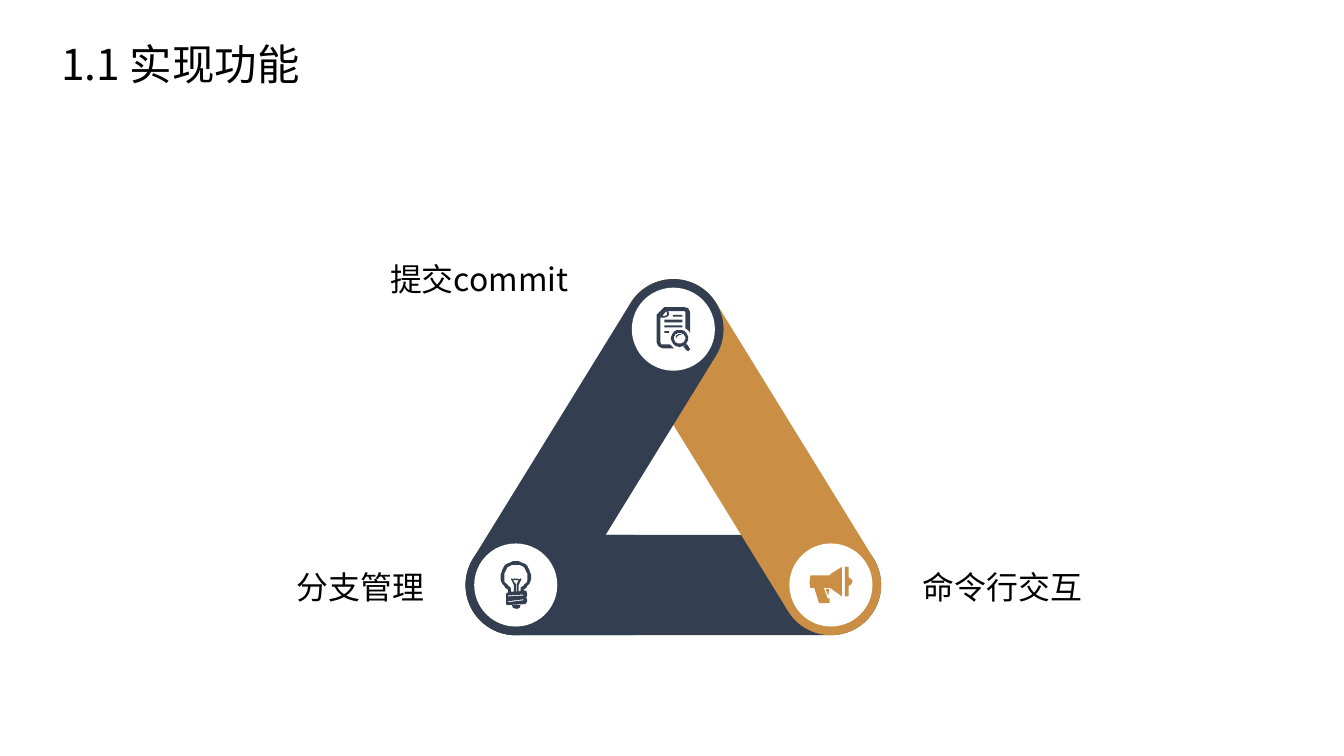
import dataclasses
import math

import pptx
import pptx.dml.color
import pptx.enum.shapes
import pptx.enum.text
import pptx.oxml
import pptx.oxml.ns
import pptx.util

Pt = pptx.util.Pt
SHAPE = pptx.enum.shapes.MSO_SHAPE
ALIGN = pptx.enum.text.PP_ALIGN
ANCHOR = pptx.enum.text.MSO_ANCHOR


@dataclasses.dataclass(frozen=True)
class Theme:
    """Colours, font and type sizes of the slide."""
    navy: str = "333F50"
    gold: str = "CA8F45"
    white: str = "FFFFFF"
    black: str = "000000"
    font: str = "Noto Sans CJK SC"
    title: int = 32
    label: int = 24


THEME = Theme()
ICON_UNIT = 0.72


def arc(cx, cy, radius, start=0, end=360):
    """Return points along a circular arc, with angles in degrees."""
    steps = 32
    angles = [math.radians(start + (end - start) * i / steps) for i in range(steps + 1)]
    return [(cx + radius * math.cos(a), cy + radius * math.sin(a)) for a in angles]


def rect(x1, y1, x2, y2):
    """Return the corners of a rectangle."""
    return [(x1, y1), (x2, y1), (x2, y2), (x1, y2)]


DOCUMENT = (35, 46, [
    [(9, 0), (29, 0), (33, 1), (35, 5), (35, 27), (34, 25), (30, 22), (30, 5),
     (29, 4), (12, 4), (13, 7), (13, 8), (11, 10), (8, 11), (4, 11), (4, 37),
     (5, 39), (14, 39), (18, 43), (6, 43), (2, 41), (0, 37), (0, 8), (8, 0)],
    rect(8, 25, 13, 27), rect(8, 19, 27, 21), rect(8, 13, 27, 16), rect(17, 8, 27, 10),
    [(10, 4), (6, 9), (9, 9), (11, 8), (11, 7)],
    arc(24, 32.5, 9), arc(24, 32.5, 5.7),
    [(20, 33), (22, 30), (27, 28), (23, 28), (20.5, 30)],
    [(28, 41), (31, 45), (33, 46), (35, 43.5), (32, 39), (30.5, 38.7), (29.6, 39.7)],
])
BULB = (32, 50, [
    arc(16, 16, 16, 122, 418) + [
        (25, 31), (27, 31), (28, 35), (27, 38), (28, 41), (27, 44), (26, 45), (7, 46),
        (6, 45), (5.5, 43), (6, 39), (5.5, 37), (6, 34), (7, 33), (8, 33), (8, 30)],
    arc(16, 16, 12.5, 120, 420) + [
        (21, 28), (21, 31), (19, 32), (19, 25), (22, 19), (21, 18), (20, 19), (19, 19),
        (17, 18), (16, 19), (15, 18), (13, 19), (12, 18), (11, 19), (14, 25), (14, 32),
        (11, 32), (11, 29)],
    [(19, 20), (13, 20), (16, 24), (16, 32), (17, 32), (17, 24)],
    [(21, 46), (12, 46), (13, 49), (17, 50), (20, 49)],
    [(24, 40), (8, 42), (8, 43), (24, 41)],
    [(24, 35), (8, 36), (8, 37), (24, 35.5)],
])
MEGAPHONE = (45, 38, [
    [(1, 9), (21, 9), (23, 7), (34, 0), (34, 31), (23, 23), (21, 22), (15, 22),
     (19, 33), (21, 33), (21, 38), (10, 38), (5, 22), (1, 22), (0, 15.5)],
    [(41, 11), (44, 13), (45, 15), (44, 18), (41, 20), (41, 31), (37, 31), (37, 0), (41, 0)],
    [(21, 23), (17, 23), (19, 29), (20, 29), (20, 27)],
])


def paint(sp, color):
    """Give a shape a flat fill without line or shadow."""
    sp.shadow.inherit = False
    sp.fill.solid()
    sp.fill.fore_color.rgb = pptx.dml.color.RGBColor.from_string(color)
    sp.line.fill.background()


def add_text(s, box, text, size, align=ALIGN.LEFT):
    """Add a one-run text box and return its frame."""
    tf = s.shapes.add_textbox(*map(Pt, box)).text_frame
    tf.word_wrap = True
    tf.auto_size = pptx.enum.text.MSO_AUTO_SIZE.SHAPE_TO_FIT_TEXT
    p = tf.paragraphs[0]
    p.alignment = align
    r = p.add_run()
    r.text = text
    r.font.size = Pt(size)
    r.font.name = THEME.font
    r.font.color.rgb = pptx.dml.color.RGBColor.from_string(THEME.black)
    ea = pptx.oxml.parse_xml(f'<a:ea {pptx.oxml.ns.nsdecls("a")} typeface="{THEME.font}"/>')
    r.font._element.find(pptx.oxml.ns.qn("a:latin")).addnext(ea)
    return tf


def add_bar(s, start, end, thick, color):
    """Add a round-ended bar whose end caps centre on two points."""
    dx, dy = end[0] - start[0], end[1] - start[1]
    length = math.hypot(dx, dy) + thick
    left = (start[0] + end[0] - length) / 2
    top = (start[1] + end[1] - thick) / 2
    sp = s.shapes.add_shape(SHAPE.ROUNDED_RECTANGLE, Pt(left), Pt(top), Pt(length), Pt(thick))
    sp.adjustments[0] = 0.5
    sp.rotation = math.degrees(math.atan2(dy, dx))
    paint(sp, color)


def add_icon(s, center, icon, color):
    """Add an icon outline centred on a point."""
    width, height, contours = icon
    fb = None
    for contour in contours:
        if fb is None:
            fb = s.shapes.build_freeform(*contour[0], scale=float(Pt(ICON_UNIT)))
        else:
            fb.move_to(*contour[0])
        fb.add_line_segments(contour[1:], close=True)
    sp = fb.convert_to_shape(Pt(center[0] - width * ICON_UNIT / 2),
                             Pt(center[1] - height * ICON_UNIT / 2))
    paint(sp, color)


def add_title(s, box, text):
    """Add the slide heading."""
    tf = add_text(s, box, text, THEME.title)
    tf.vertical_anchor = ANCHOR.MIDDLE
    tf.margin_left = tf.margin_right = tf.margin_top = tf.margin_bottom = 0


def add_triangle(s, box):
    """Add the three-bar triangle with its icons and labels."""
    x, y, w, h = box
    thick, disc = 75.6, 62.6
    cap = thick / 2
    top = (x + w / 2, y + cap)
    left = (x + cap, y + h - cap)
    right = (x + w - cap, y + h - cap)
    add_bar(s, left, right, thick, THEME.navy)
    add_bar(s, top, right, thick, THEME.gold)
    add_bar(s, left, top, thick, THEME.navy)
    add_bar(s, left, (left[0] + 86, left[1]), thick, THEME.navy)
    nodes = [
        (top, DOCUMENT, THEME.navy, "提交commit", ALIGN.RIGHT, 72, -62, 162),
        (left, BULB, THEME.navy, "分支管理", ALIGN.RIGHT, 62, -22, 179),
        (right, MEGAPHONE, THEME.gold, "命令行交互", ALIGN.LEFT, 62, -22, 160),
    ]
    for (cx, cy), icon, color, text, align, gap, rise, width in nodes:
        sp = s.shapes.add_shape(SHAPE.OVAL, Pt(cx - disc / 2), Pt(cy - disc / 2),
                                Pt(disc), Pt(disc))
        paint(sp, THEME.white)
        add_icon(s, (cx, cy), icon, color)
        label_x = cx + gap if align == ALIGN.LEFT else cx - gap - width
        tf = add_text(s, (label_x, cy + rise, width, 39), text, THEME.label, align)
        tf.paragraphs[0].line_spacing = 1.2


def main():
    """Build and save the slide."""
    prs = pptx.Presentation()
    prs.slide_width, prs.slide_height = Pt(1012.3), Pt(569.5)
    s = prs.slides.add_slide(prs.slide_layouts[6])
    add_triangle(s, (350.7, 210.2, 313, 268.3))
    add_title(s, (46, 28, 233, 39), "1.1 实现功能")
    prs.save("out.pptx")


if __name__ == "__main__":
    main()
